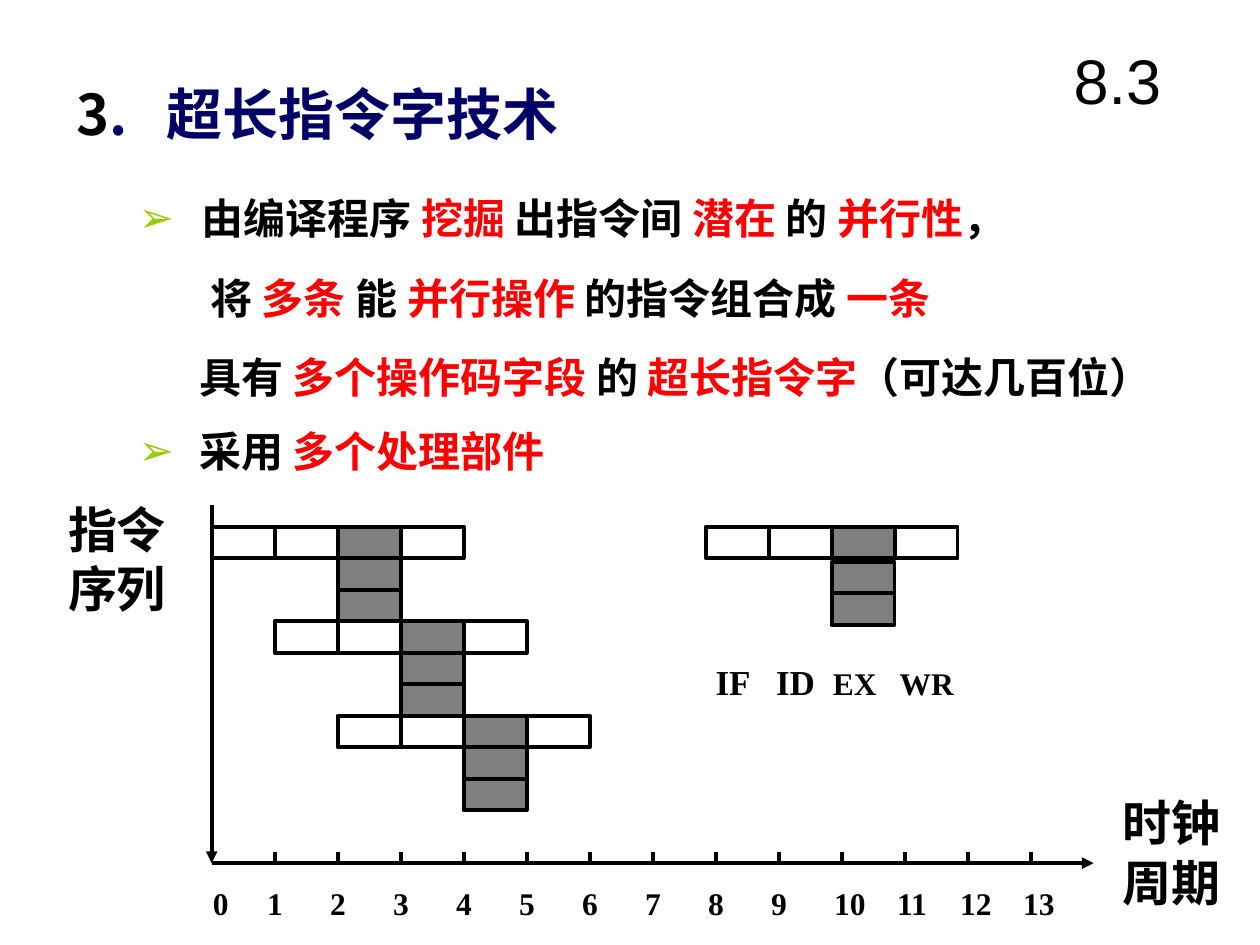
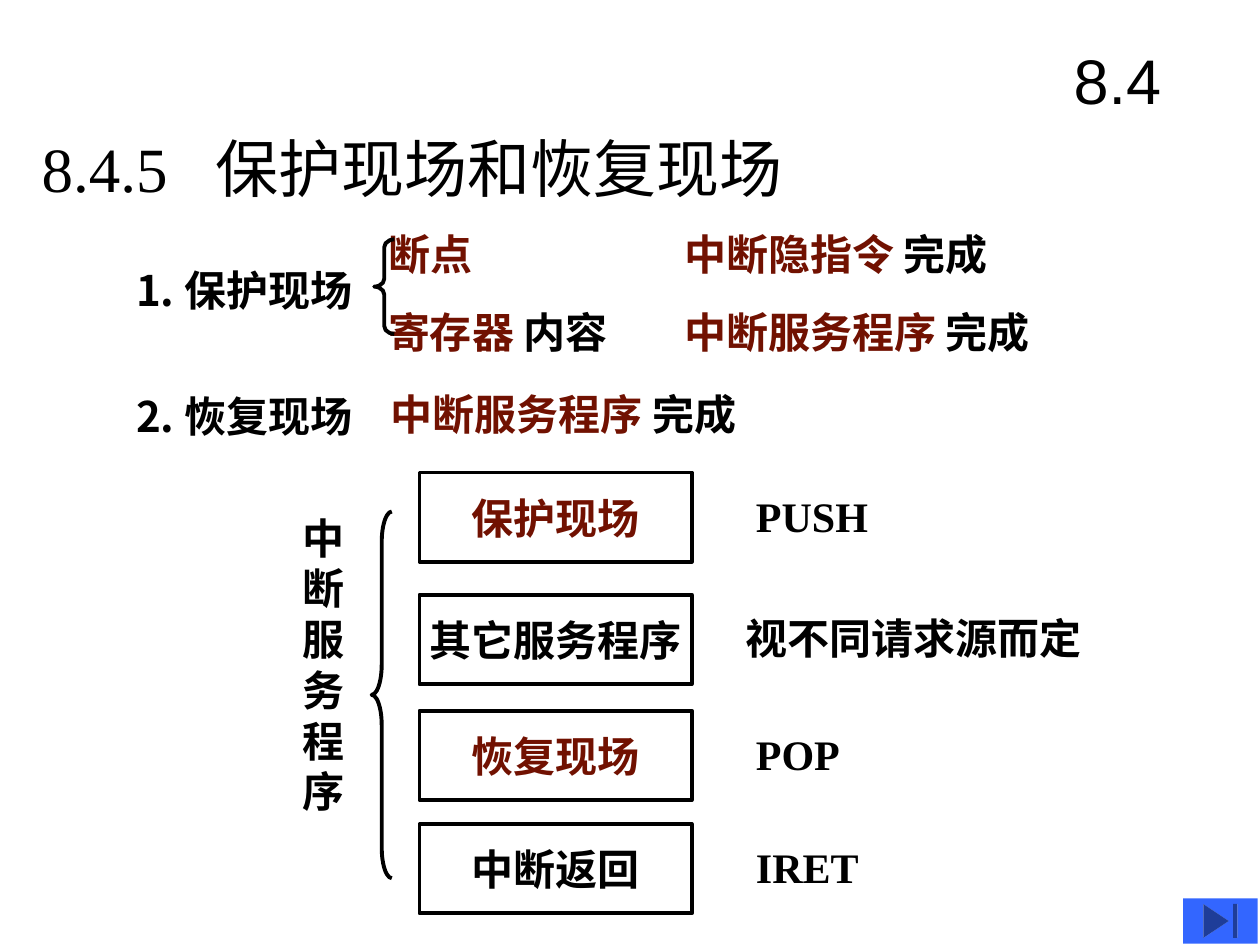
from dataclasses import dataclass

from lxml.etree import SubElement
from pptx import Presentation
from pptx.dml.color import RGBColor
from pptx.enum.shapes import MSO_CONNECTOR, MSO_SHAPE
from pptx.enum.text import MSO_ANCHOR, MSO_AUTO_SIZE, PP_ALIGN
from pptx.oxml.ns import qn
from pptx.util import Inches, Pt


@dataclass(frozen=True)
class Theme:
    ink: str = "000000"
    title: str = "000066"
    red: str = "FF0000"
    maroon: str = "711101"
    bullet: str = "99CC00"
    button: str = "3366FF"
    cjk: str = "Noto Sans CJK SC"
    serif: str = "Times New Roman"
    sans: str = "Arial"
    small: int = 18
    stage: int = 20
    body: int = 24
    label: int = 28
    heading: int = 32
    section: int = 36
    line: float = 2.25


class Deck:
    def __init__(self, theme):
        self.theme = theme
        self.presentation = Presentation()
        self.presentation.slide_width = Inches(10)
        self.presentation.slide_height = Inches(7.5)
        self.slide = None

    def start(self, layout, section):
        layouts = self.presentation.slide_layouts
        self.slide = self.presentation.slides.add_slide(layouts.get_by_name(layout))
        self.text(section, (8.52, 0.17, 1.15, 0.92), size=self.theme.section,
                  font=self.theme.sans, bold=False)

    def place(self, shape, at):
        shape.left, shape.top, shape.width, shape.height = map(Inches, at)

    def frame(self, shape, anchor=MSO_ANCHOR.MIDDLE):
        frame = shape.text_frame
        frame.word_wrap = True
        frame.auto_size = MSO_AUTO_SIZE.NONE
        frame.vertical_anchor = anchor
        frame.margin_left = frame.margin_right = 0
        frame.margin_top = frame.margin_bottom = Inches(0.05)
        return frame

    def compose(self, paragraph, words, size=None, font=None, color=None, bold=True,
                emphasis=None, align=PP_ALIGN.LEFT, tabs=(), pitch=None):
        theme = self.theme
        paragraph.alignment = align
        if pitch:
            paragraph.line_spacing = Pt(pitch)
        if tabs:
            tab_list = SubElement(paragraph._p.get_or_add_pPr(), qn("a:tabLst"))
            for tab in tabs:
                SubElement(tab_list, qn("a:tab"), pos=str(Inches(tab)), algn="l")
        style = paragraph.font
        style.size = Pt(size or theme.body)
        style.bold = bold
        style.color.rgb = RGBColor.from_string(color or theme.ink)
        style.name = font or theme.cjk
        SubElement(paragraph._p.pPr.find(qn("a:defRPr")), qn("a:ea"), typeface=theme.cjk)
        for index, part in enumerate(words.split("*")):
            if part:
                run = paragraph.add_run()
                run.text = part
                if index % 2:
                    run.font.color.rgb = RGBColor.from_string(emphasis or theme.maroon)

    def title(self, words, at, **style):
        heading = self.slide.shapes.title
        self.place(heading, at)
        self.compose(self.frame(heading).paragraphs[0], words, **style)

    def text(self, words, at, **style):
        box = self.slide.shapes.add_textbox(*map(Inches, at))
        frame = self.frame(box)
        for index, line in enumerate(words.split("\n")):
            paragraph = frame.add_paragraph() if index else frame.paragraphs[0]
            self.compose(paragraph, line, **style)
        return frame

    def bullets(self, items, at):
        body = self.slide.placeholders[1]
        self.place(body, at)
        frame = self.frame(body, MSO_ANCHOR.TOP)
        for index, (words, indent, marked, pitch) in enumerate(items):
            paragraph = frame.add_paragraph() if index else frame.paragraphs[0]
            paragraph.space_before = Pt(0)
            properties = paragraph._p.get_or_add_pPr()
            properties.set("marL", str(Inches(indent)))
            properties.set("indent", str(Inches(-indent if marked else 0)))
            if marked:
                tint = SubElement(properties, qn("a:buClr"))
                SubElement(tint, qn("a:srgbClr"), val=self.theme.bullet)
                SubElement(properties, qn("a:buChar"), char="➢")
            else:
                SubElement(properties, qn("a:buNone"))
            self.compose(paragraph, words, emphasis=self.theme.red, pitch=pitch)

    def shape(self, kind, at, fill=None, alpha=None, outlined=True):
        shape = self.slide.shapes.add_shape(kind, *map(Inches, at))
        shape.shadow.inherit = False
        if fill:
            shape.fill.solid()
            shape.fill.fore_color.rgb = RGBColor.from_string(fill)
        else:
            shape.fill.background()
        if alpha:
            tint = shape._element.spPr.find(qn("a:solidFill"))[0]
            SubElement(tint, qn("a:alpha"), val=str(alpha * 1000))
        if outlined:
            shape.line.color.rgb = RGBColor.from_string(self.theme.ink)
            shape.line.width = Pt(self.theme.line)
        else:
            shape.line.fill.background()
        return shape

    def box(self, words, at, **style):
        step = self.shape(MSO_SHAPE.RECTANGLE, at)
        self.compose(self.frame(step).paragraphs[0], words, align=PP_ALIGN.CENTER, **style)

    def brace(self, at):
        brace = self.shape(MSO_SHAPE.LEFT_BRACE, at)
        brace.adjustments[0] = at[3] / at[2] / 12

    def line(self, start, end, arrow=False):
        connector = self.slide.shapes.add_connector(
            MSO_CONNECTOR.STRAIGHT, *map(Inches, start + end))
        connector.line.color.rgb = RGBColor.from_string(self.theme.ink)
        connector.line.width = Pt(self.theme.line)
        properties = connector._element.spPr
        if arrow:
            SubElement(properties.find(qn("a:ln")), qn("a:tailEnd"), type="triangle")
        SubElement(properties, qn("a:effectLst"))

    def instruction(self, left, top, gap=0):
        cell_width, cell_height = 0.5, 0.25
        cells = [(stage, 0) for stage in range(4)] + [(2, 1), (2, 2)]
        for stage, unit in cells:
            at = (left + stage * cell_width, top + unit * cell_height + (gap if unit else 0),
                  cell_width, cell_height)
            executing = stage == 2
            self.shape(MSO_SHAPE.RECTANGLE, at, self.theme.ink if executing else None,
                       50 if executing else None)


def long_instruction_word(deck):
    theme = deck.theme
    deck.start("Title and Content", "8.3")
    deck.title("3*.\t超长指令字技术", (0.61, 0.6, 5.21, 0.59), size=theme.heading,
               emphasis=theme.title, tabs=[0.71])
    deck.bullets([
        ("由编译程序 *挖掘 *出指令间 *潜在 *的 *并行性*，", 0.5, True, 45.4),
        ("将 *多条 *能 *并行操作 *的指令组合成 *一条", 0.57, False, 45.4),
        ("具有 *多个操作码字段 *的 *超长指令字*（可达几百位）", 0.48, False, 45.4),
        ("采用 *多个处理部件", 0.48, True, 42.3),
    ], (1.1, 1.25, 8.6, 2.6))

    origin, baseline, cycle = 1.68, 6.85, 0.5
    for issue in range(3):
        deck.instruction(origin + issue * cycle, 4.18 + issue * 0.75)
    deck.instruction(5.6, 4.18, gap=0.03)
    stages = deck.text("IF\tID", (5.68, 5.19, 2.1, 0.44), size=theme.small,
                       font=theme.serif, tabs=[0.48, 0.93, 1.46]).paragraphs[0]
    stages.runs[0].font.size = Pt(theme.stage)
    stages.add_run().text = "\tEX\tWR"

    deck.line((origin, 4.01), (origin, baseline), arrow=True)
    deck.line((origin, baseline), (8.68, baseline), arrow=True)
    for tick in range(1, 14):
        x = origin + tick * cycle
        deck.line((x, 6.76), (x, baseline))
    deck.text("\t".join(map(str, range(14))), (1.69, 6.97, 6.89, 0.4), size=theme.small,
              font=theme.serif, tabs=[cycle * tick - 0.07 for tick in range(1, 14)])
    deck.text("时钟周期", (8.91, 6.24, 0.99, 1.04), size=theme.label, pitch=34)
    deck.text("指令序列", (0.54, 3.91, 0.94, 1.04), size=theme.label, pitch=34)


def save_and_restore(deck):
    theme = deck.theme
    deck.start("Title Only", "8.4")
    deck.title("8.4.5\t保护现场和恢复现场", (0.33, 1.04, 6.92, 0.58), size=theme.section,
               font=theme.serif, bold=False, tabs=[1.38])
    for words, left, top, width in [
        ("1. 保护现场", 1.08, 2.01, 1.92),
        ("2. 恢复现场", 1.08, 3.01, 1.92),
        ("*断点", 3.08, 1.72, 1.08),
        ("*寄存器 *内容", 3.08, 2.34, 2.17),
        ("*中断隐指令 *完成", 5.43, 1.72, 3.4),
        ("*中断服务程序 *完成", 5.43, 2.34, 4.17),
        ("*中断服务程序 *完成", 3.1, 2.99, 3.2),
    ]:
        deck.text(words, (left, top, width, 0.58))
    deck.brace((2.97, 1.9, 0.16, 0.75))

    for step, top, action, left, font in [
        ("*保护现场", 3.75, "PUSH", 6, theme.serif),
        ("其它服务程序", 4.72, "视不同请求源而定", 5.92, theme.cjk),
        ("*恢复现场", 5.64, "POP", 6, theme.serif),
        ("中断返回", 6.54, "IRET", 6, theme.serif),
    ]:
        deck.box(step, (3.33, top, 2.16, 0.71))
        deck.text(action, (left, top + 0.05, 2.83, 0.58), font=font)
    deck.text("\n".join("中断服务程序"), (2.4, 4.02, 0.4, 2.5), pitch=29)
    deck.brace((2.95, 4.06, 0.16, 2.91))
    deck.shape(MSO_SHAPE.ACTION_BUTTON_END, (9.39, 7.13, 0.59, 0.36), theme.button,
               outlined=False)


def main():
    deck = Deck(Theme())
    long_instruction_word(deck)
    save_and_restore(deck)
    deck.presentation.save("out.pptx")


if __name__ == "__main__":
    main()
